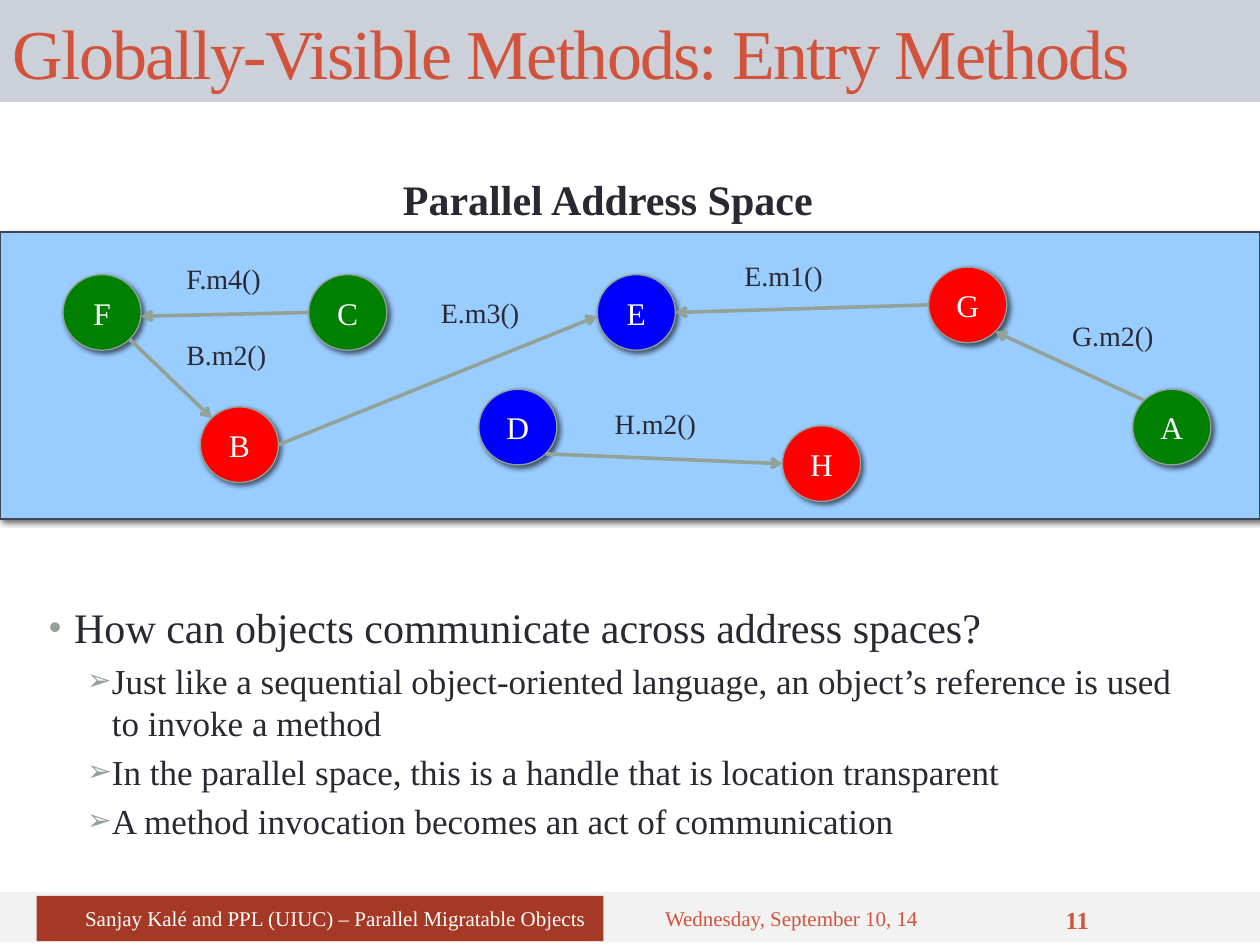
"""Build a slide on entry methods called between objects in a parallel address space."""
from math import cos, radians, sin

from lxml import etree
from pptx import Presentation
from pptx.dml.color import RGBColor
from pptx.enum.shapes import MSO_CONNECTOR, MSO_SHAPE
from pptx.enum.text import MSO_ANCHOR, MSO_AUTO_SIZE, PP_ALIGN
from pptx.oxml.ns import qn
from pptx.util import Inches, Pt

RECT, OVAL = MSO_SHAPE.RECTANGLE, MSO_SHAPE.OVAL
LINE = MSO_CONNECTOR.STRAIGHT
MID, TOP = MSO_ANCHOR.MIDDLE, MSO_ANCHOR.TOP
LEFT, MIDDLE, RIGHT = PP_ALIGN.LEFT, PP_ALIGN.CENTER, PP_ALIGN.RIGHT
FIXED = MSO_AUTO_SIZE.NONE

FONT = "Times New Roman"
INK = RGBColor(0x29, 0x29, 0x34)
WHITE = RGBColor(0xFF, 0xFF, 0xFF)
CORAL = RGBColor(0xD2, 0x53, 0x3C)
RUST = RGBColor(0xA5, 0x39, 0x26)
SAGE = RGBColor(0x93, 0xA2, 0x99)
SLATE = RGBColor(0x3E, 0x46, 0x52)
MIST = RGBColor(0xCC, 0xD1, 0xD9)
PALE = RGBColor(0xF2, 0xF2, 0xF2)
SKY = RGBColor(0x99, 0xCC, 0xFF)
GREEN = RGBColor(0x00, 0x80, 0x00)
BLUE = RGBColor(0x00, 0x00, 0xFF)
RED = RGBColor(0xFF, 0x00, 0x00)

TITLE = "Globally-Visible Methods: Entry Methods"
SPACE = "Parallel Address Space"
CREDIT = "Sanjay Kalé and PPL (UIUC) – Parallel Migratable Objects "
DATE = "Wednesday, September 10, 14"
PAGE = "11"

NODE_W, NODE_H = 0.62, 0.6
CALL_W, CALL_H = 0.95, 0.37
NODES = {
    "F": (0.5, 2.18, GREEN),
    "C": (2.45, 2.18, GREEN),
    "E": (4.74, 2.18, BLUE),
    "G": (7.37, 2.12, RED),
    "B": (1.59, 3.23, RED),
    "D": (3.8, 3.09, BLUE),
    "H": (6.21, 3.38, RED),
    "A": (8.99, 3.09, GREEN),
}
EAST, SE, WEST, NW = 0, 45, 180, 225
CALLS = [
    ("C", WEST, "F", EAST, 0.03, "F.m4()", 1.38, 2.03),
    ("F", SE, "B", NW, 0, "B.m2()", 1.38, 2.63),
    ("B", EAST, "E", WEST, 0.03, "E.m3()", 3.4, 2.3),
    ("G", WEST, "E", EAST, 0, "E.m1()", 5.81, 2),
    ("A", NW, "G", SE, 0, "G.m2()", 8.41, 2.48),
    ("D", SE, "H", WEST, 0, "H.m2()", 4.78, 3.18),
]
POINTS = [
    (0, "How can objects communicate across address spaces?"),
    (1, "Just like a sequential object-oriented language, an object’s "
        "reference is used to invoke a method"),
    (1, "In the parallel space, this is a handle that is location transparent"),
    (1, "A method invocation becomes an act of communication"),
]
LEVELS = [(24, 0.2, "•"), (20, 0.5, "➢")]


def add(node, tag, **attrs):
    return etree.SubElement(node, qn(tag), attrs)


def write(para, text, size, color, bold=False, align=LEFT):
    para.alignment = align
    run = para.add_run()
    run.text = text
    font = run.font
    font.name, font.size, font.bold = FONT, Pt(size), bold
    font.color.rgb = color
    return run


def form(slide, kind, box, fill, edge=None):
    shape = slide.shapes.add_shape(kind, *map(Inches, box))
    shape.shadow.inherit = False
    shape.fill.solid()
    shape.fill.fore_color.rgb = fill
    if edge is None:
        shape.line.fill.background()
    else:
        shape.line.color.rgb = edge
        shape.line.width = Pt(0.75)
    shape.text_frame.vertical_anchor = MID
    return shape


def shade(shape):
    props = shape.element.spPr.find(qn("a:effectLst"))
    glow = add(props, "a:outerShdw", blurRad=str(Pt(3)), dist=str(Pt(2)),
               dir="2700000", algn="tl", rotWithShape="0")
    add(add(glow, "a:srgbClr", val="000000"), "a:alpha", val="60000")


def label(slide, box, anchor=TOP):
    frame = slide.shapes.add_textbox(*map(Inches, box)).text_frame
    frame.word_wrap, frame.vertical_anchor = True, anchor
    return frame


def bullet(para, level):
    size, left, mark = LEVELS[level]
    para.level = level
    para.space_before = Pt(size * 0.2)
    props = para._p.get_or_add_pPr()
    props.set("marL", str(Inches(left)))
    props.set("indent", str(Inches(-0.2)))
    add(add(props, "a:buClr"), "a:srgbClr", val=str(SAGE))
    add(props, "a:buSzPct", val="85000")
    add(props, "a:buFont", typeface="Arial")
    add(props, "a:buChar", char=mark)


def rim(name, angle):
    left, top, _ = NODES[name]
    turn = radians(angle)
    return (left + NODE_W / 2 * (1 + cos(turn)),
            top + NODE_H / 2 * (1 + sin(turn)))


def arrow(slide, start, end):
    line = slide.shapes.add_connector(LINE, *map(Inches, start + end))
    line.line.color.rgb = SAGE
    line.line.width = Pt(2.08)
    add(line.element.spPr.find(qn("a:ln")), "a:tailEnd", type="arrow")
    add(line.element.spPr, "a:effectLst")


def head(slide):
    title = slide.shapes.title
    title.left, title.top, title.width, title.height = map(
        Inches, (0, 0, 10, 0.81))
    title.fill.solid()
    title.fill.fore_color.rgb = MIST
    frame = title.text_frame
    frame.auto_size, frame.vertical_anchor = FIXED, MID
    run = write(frame.paragraphs[0], TITLE, 40, CORAL)
    run.font._element.set("spc", "-100")


def body(slide):
    frame = label(slide, (0.29, 4.48, 9.32, 2.49), MID)
    for num, (level, text) in enumerate(POINTS):
        para = frame.add_paragraph() if num else frame.paragraphs[0]
        bullet(para, level)
        write(para, text, LEVELS[level][0], INK)


def foot(slide):
    form(slide, RECT, (0, 7.08, 10, 0.4), PALE)
    date = label(slide, (5.18, 7.11, 2.98, 0.36), MID)
    write(date.paragraphs[0], DATE, 12, CORAL)
    bar = form(slide, RECT, (0.29, 7.11, 4.5, 0.36), RUST)
    write(bar.text_frame.paragraphs[0], CREDIT, 12, WHITE, align=RIGHT)
    page = label(slide, (8.36, 7.12, 1.35, 0.36), MID)
    write(page.paragraphs[0], PAGE, 14, CORAL, True)


def graph(slide):
    shade(form(slide, RECT, (0, 1.84, 10, 2.28), SKY, SLATE))
    for name, (left, top, fill) in NODES.items():
        node = form(slide, OVAL, (left, top, NODE_W, NODE_H), fill, SAGE)
        shade(node)
        write(node.text_frame.paragraphs[0], name, 18, WHITE, align=MIDDLE)
    space = label(slide, (3.1, 1.33, 3.87, 0.5))
    write(space.paragraphs[0], SPACE, 24, INK, True)
    for source, out, target, into, drop, text, left, top in CALLS:
        tip_x, tip_y = rim(target, into)
        arrow(slide, rim(source, out), (tip_x, tip_y + drop))
        call = label(slide, (left, top, CALL_W, CALL_H))
        write(call.paragraphs[0], text, 16, INK)


def main():
    deck = Presentation()
    deck.slide_width, deck.slide_height = Inches(10), Inches(7.5)
    slide = deck.slides.add_slide(deck.slide_layouts[5])
    for part in (head, body, foot, graph):
        part(slide)
    deck.save("out.pptx")


if __name__ == "__main__":
    main()
